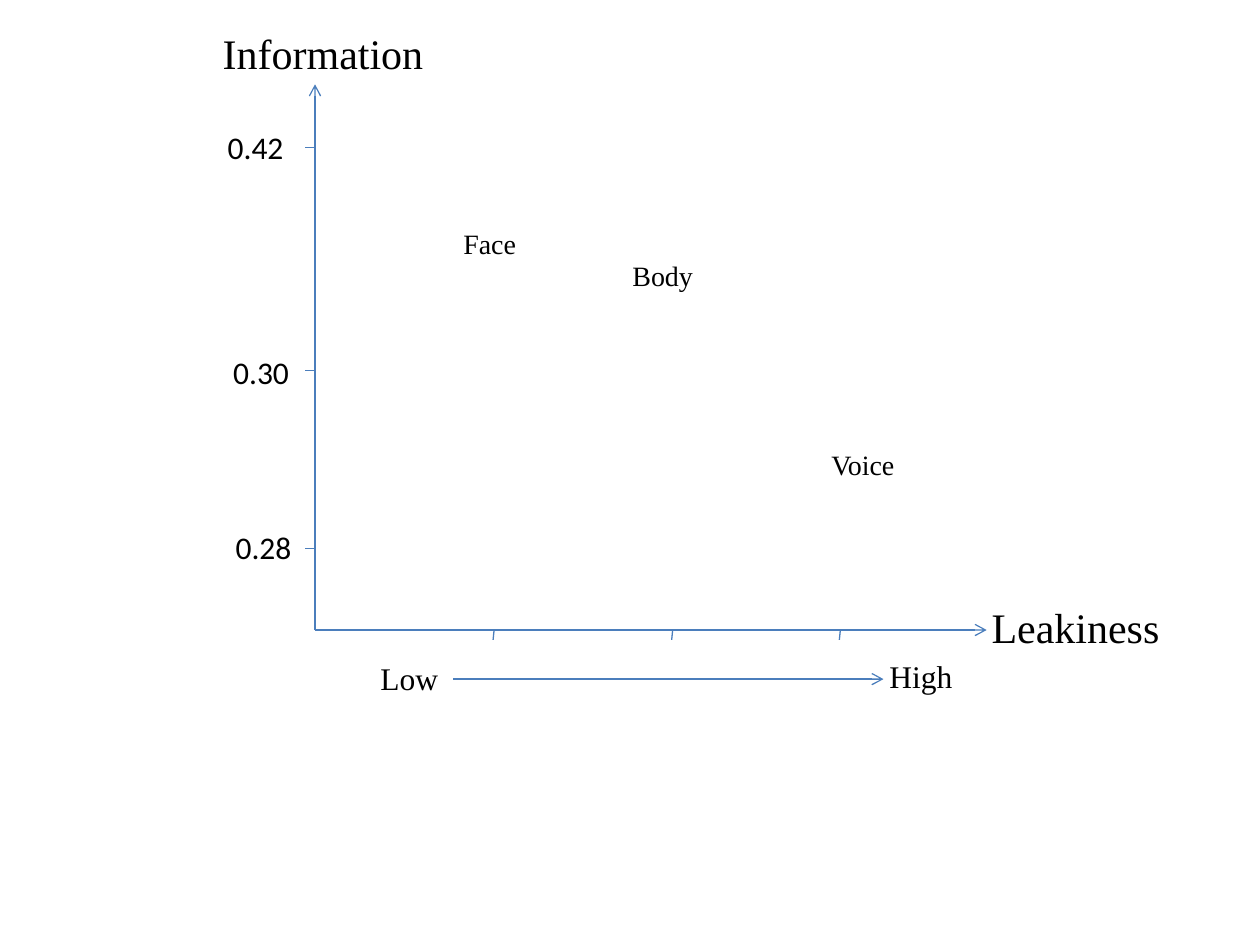
from dataclasses import dataclass

from lxml import etree
from pptx import Presentation
from pptx.dml.color import RGBColor
from pptx.enum.shapes import MSO_CONNECTOR
from pptx.enum.text import MSO_AUTO_SIZE
from pptx.oxml.ns import qn
from pptx.util import Cm, Pt

SERIF, SANS = "Times New Roman", "Calibri"
LINE_COLOR, TEXT_COLOR = "4B7EBC", "000000"
ORIGIN_X, ORIGIN_Y = 6.35, 12.7
TICK_LENGTH = 0.2
HEIGHT_BY_SIZE = {24: 1.27, 18: 1.02, 16: 0.94}


@dataclass(frozen=True)
class Line:
    x1: float
    y1: float
    x2: float
    y2: float
    arrow: bool = False


@dataclass(frozen=True)
class Label:
    text: str
    left: float
    top: float
    width: float
    size: int
    font: str = SERIF
    wrap: bool = False


AXES = [
    Line(ORIGIN_X, ORIGIN_Y, 19.89, ORIGIN_Y, arrow=True),
    Line(ORIGIN_X, ORIGIN_Y, ORIGIN_X, 1.7, arrow=True),
]
LEAKINESS_TICKS = [
    Line(x, ORIGIN_Y, x - 0.02, ORIGIN_Y + TICK_LENGTH) for x in (9.96, 13.56, 16.94)
]
INFORMATION_TICKS = [
    Line(ORIGIN_X, y, ORIGIN_X - TICK_LENGTH, y) for y in (2.97, 7.47, 11.05)
]
LOW_TO_HIGH = Line(9.14, 13.69, 17.81, 13.69, arrow=True)

LABELS = [
    Label("Information", 4.24, 0.43, 5.51, 24, wrap=True),
    Label("Leakiness", 19.74, 12.01, 3.94, 24),
    Label("0.42", 4.34, 2.46, 1.65, 18, SANS),
    Label("0.30", 4.45, 6.99, 1.65, 18, SANS),
    Label("0.28", 4.5, 10.52, 1.65, 18, SANS),
    Label("Face", 9.09, 4.45, 1.6, 16),
    Label("Body", 12.5, 5.08, 1.75, 16),
    Label("Voice", 16.51, 8.89, 1.8, 16),
    Label("Low", 7.42, 13.16, 1.68, 18),
    Label("High", 17.68, 13.13, 1.8, 18),
]


def color(hex_code: str) -> RGBColor:
    return RGBColor.from_string(hex_code)


def draw_line(shapes, line: Line) -> None:
    connector = shapes.add_connector(
        MSO_CONNECTOR.STRAIGHT, Cm(line.x1), Cm(line.y1), Cm(line.x2), Cm(line.y2)
    )
    connector.line.color.rgb = color(LINE_COLOR)
    connector.line.width = Pt(0.75)
    if line.arrow:
        outline = connector.line._get_or_add_ln()
        etree.SubElement(outline, qn("a:tailEnd"), type="arrow")
    etree.SubElement(connector._element.spPr, qn("a:effectLst"))


def draw_label(shapes, label: Label) -> None:
    box = shapes.add_textbox(
        Cm(label.left), Cm(label.top), Cm(label.width), Cm(HEIGHT_BY_SIZE[label.size])
    )
    frame = box.text_frame
    frame.word_wrap = label.wrap
    frame.auto_size = MSO_AUTO_SIZE.SHAPE_TO_FIT_TEXT
    run = frame.paragraphs[0].add_run()
    run.text = label.text
    run.font.name = label.font
    run.font.size = Pt(label.size)
    run.font.color.rgb = color(TEXT_COLOR)


def main() -> None:
    presentation = Presentation()
    presentation.slide_width, presentation.slide_height = Cm(25.4), Cm(19.05)
    slide = presentation.slides.add_slide(presentation.slide_layouts[6])
    for line in [*AXES, *LEAKINESS_TICKS, *INFORMATION_TICKS, LOW_TO_HIGH]:
        draw_line(slide.shapes, line)
    for label in LABELS:
        draw_label(slide.shapes, label)
    presentation.save("out.pptx")


if __name__ == "__main__":
    main()
